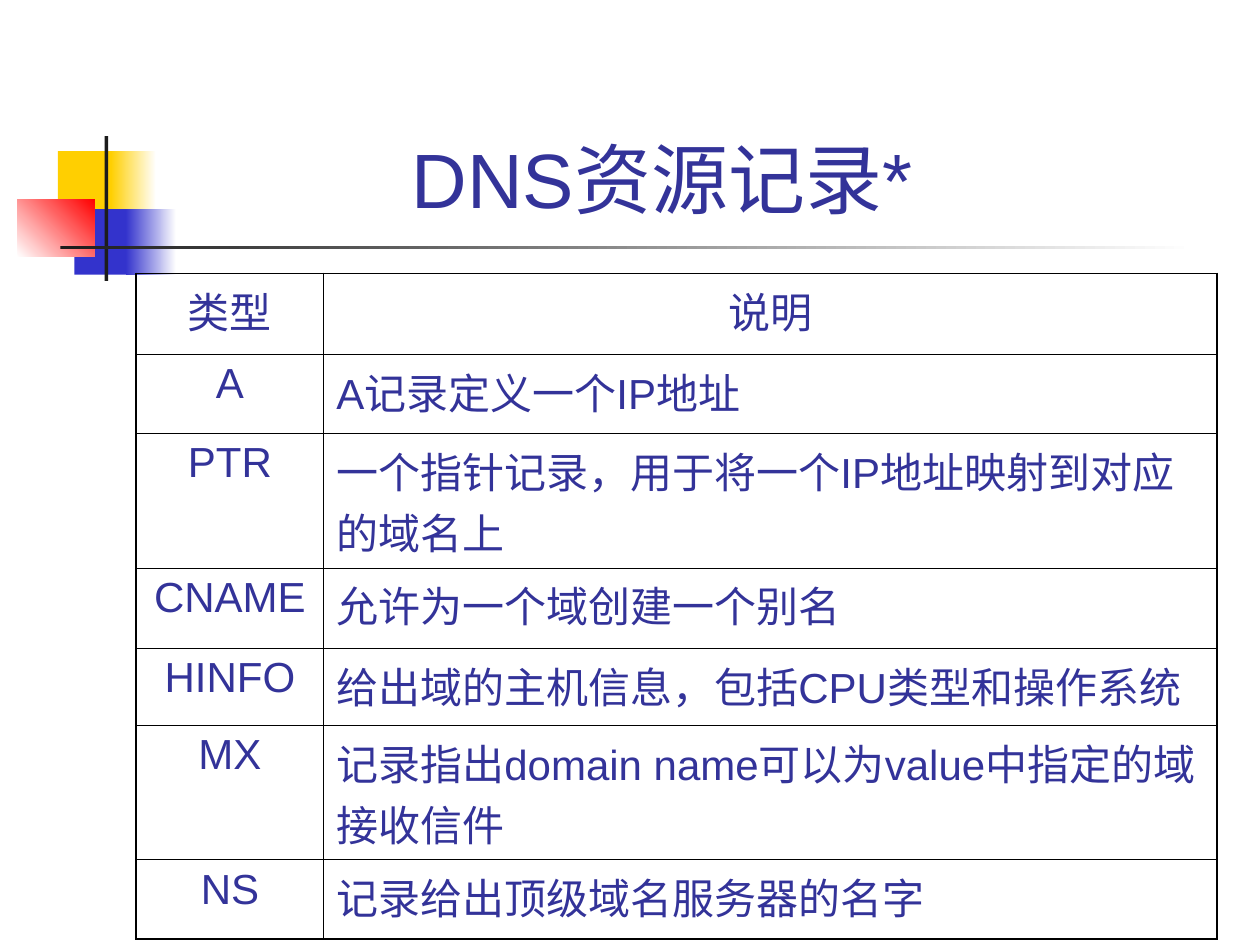
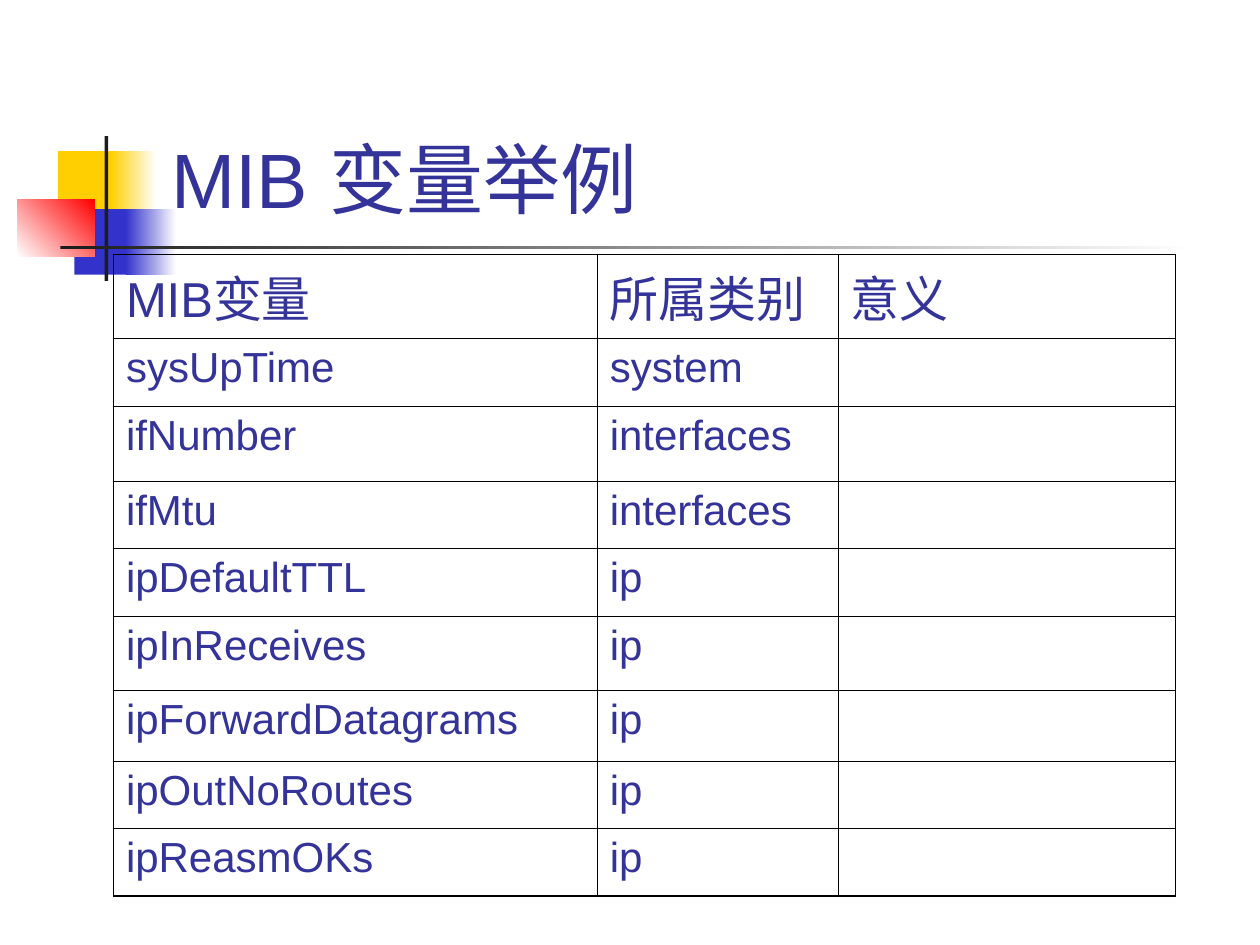
"""Builds two table slides, DNS resource records and MIB variables, over one shared band."""
from dataclasses import dataclass

from lxml import etree
from pptx import Presentation
from pptx import util as u
from pptx.dml.color import RGBColor
from pptx.enum import shapes, text
from pptx.oxml import ns

SLIDES = [
    dict(
        title="DNS资源记录*", title_at=(1.38, 0.83, 7.75, 1), title_align="c",
        at=(1.08, 2.17), cols=(1.49, 7.09),
        heights=(0.64, 0.63, 0.9, 0.64, 0.61, 0.9, 0.63),
        head_size=24, head_gap=6, head_align="cc", body_align="cl",
        rows=[
            ("类型", "说明"),
            ("A", "A记录定义一个IP地址"),
            ("PTR", "一个指针记录，用于将一个IP地址映射到对应的域名上"),
            ("CNAME", "允许为一个域创建一个别名"),
            ("HINFO", "给出域的主机信息，包括CPU类型和操作系统"),
            ("MX", "记录指出domain name可以为value中指定的域接收信件"),
            ("NS", "记录给出顶级域名服务器的名字"),
        ],
    ),
    dict(
        title="MIB 变量举例", title_at=(1.26, 0.23, 8.52, 1.6), title_align="l",
        at=(0.9, 2.02), cols=(3.84, 1.91, 2.68),
        heights=(0.66, 0.54, 0.6, 0.53, 0.54, 0.59, 0.56, 0.53, 0.54),
        head_size=28, head_gap=7, head_align="lll", body_align="lll",
        rows=[
            ("MIB变量", "所属类别", "意义"),
            ("sysUpTime", "system", ""),
            ("ifNumber", "interfaces", ""),
            ("ifMtu", "interfaces", ""),
            ("ipDefaultTTL", "ip", ""),
            ("ipInReceives", "ip", ""),
            ("ipForwardDatagrams", "ip", ""),
            ("ipOutNoRoutes", "ip", ""),
            ("ipReasmOKs", "ip", ""),
        ],
    ),
]


@dataclass(frozen=True)
class Theme:
    font: str = "Arial"
    ink: str = "333399"
    yellow: str = "FFCF01"
    blue: str = "3333CC"
    red: str = "FF0000"
    dark: str = "1C1C1C"
    white: str = "FFFFFF"
    border: str = "000000"
    title_size: int = 44
    body_size: int = 24
    body_gap: int = 6
    outer_line: float = 1.08
    inner_line: float = 0.45


T = Theme()
ALIGN = {"l": text.PP_ALIGN.LEFT, "c": text.PP_ALIGN.CENTER}

BAND = [
    ((0.46, 1.2, 0.48, 0.52), (T.yellow,), 0),
    ((0.88, 1.2, 0.36, 0.52), (T.yellow, T.white), 0),
    ((0.59, 1.66, 0.46, 0.52), (T.blue,), 0),
    ((1, 1.66, 0.4, 0.52), (T.blue, T.white), 0),
    ((0.14, 1.58, 0.61, 0.46), (T.white, T.red), 45),
    ((0.83, 1.08, 0.03, 1.15), (T.dark,), 0),
    ((0.48, 1.95, 9, 0.03), (T.dark, T.white), 0),
]


def put_text(tf, words, size=T.body_size, align="l", gap=0):
    p = tf.paragraphs[0]
    p.alignment = ALIGN[align]
    p.space_before = u.Pt(gap)
    if words:
        r = p.add_run()
        r.text = words
        r.font.name = T.font
        r.font.size = u.Pt(size)
        r.font.color.rgb = RGBColor.from_string(T.ink)


def add_band(s, layout):
    """Draw the band and move it to the layout, behind its placeholders."""
    for i, (at, colors, angle) in enumerate(BAND):
        sp = s.shapes.add_shape(shapes.MSO_SHAPE.RECTANGLE, *map(u.Inches, at))
        sp.name = f"Band {i + 1}"
        sp.shadow.inherit = False
        sp.line.fill.background()
        if len(colors) == 1:
            sp.fill.solid()
            sp.fill.fore_color.rgb = RGBColor.from_string(colors[0])
        else:
            sp.fill.gradient()
            sp.fill.gradient_angle = angle
            for stop, color in zip(sp.fill.gradient_stops, colors):
                stop.color.rgb = RGBColor.from_string(color)
        sp.element.nvSpPr.cNvPr.set("id", str(100 + i))
        layout.shapes.element.insert(2 + i, sp.element)


def set_borders(cell, outer):
    tc_pr = cell._tc.get_or_add_tcPr()
    for side in "LRTB":
        width = T.outer_line if side in outer else T.inner_line
        ln = etree.SubElement(tc_pr, ns.qn(f"a:ln{side}"), w=str(u.Pt(width)))
        fill = etree.SubElement(ln, ns.qn("a:solidFill"))
        etree.SubElement(fill, ns.qn("a:srgbClr"), val=T.border)


def add_grid(s, d):
    rows, cols, heights = d["rows"], d["cols"], d["heights"]
    box = (*d["at"], sum(cols), sum(heights))
    table = s.shapes.add_table(len(rows), len(cols), *map(u.Inches, box)).table
    table.first_row = table.horz_banding = False
    for col, width in zip(table.columns, cols):
        col.width = u.Inches(width)
    for row, height in zip(table.rows, heights):
        row.height = u.Inches(height)
    for i, words in enumerate(rows):
        head = i == 0
        size, gap = (d["head_size"], d["head_gap"]) if head else (T.body_size, T.body_gap)
        aligns = d["head_align"] if head else d["body_align"]
        for j, word in enumerate(words):
            cell = table.cell(i, j)
            edges = {"L": j == 0, "R": j == len(cols) - 1, "T": head, "B": i == len(rows) - 1}
            set_borders(cell, [side for side, on in edges.items() if on])
            cell.fill.background()
            put_text(cell.text_frame, word, size=size, align=aligns[j], gap=gap)


def add_title(s, d):
    sp = s.shapes.title
    sp.left, sp.top, sp.width, sp.height = map(u.Inches, d["title_at"])
    tf = sp.text_frame
    tf.word_wrap = True
    tf.auto_size = text.MSO_AUTO_SIZE.NONE
    tf.vertical_anchor = text.MSO_ANCHOR.BOTTOM
    put_text(tf, d["title"], size=T.title_size, align=d["title_align"])


def main():
    prs = Presentation()
    prs.slide_width, prs.slide_height = u.Inches(10), u.Inches(7.5)
    layout = prs.slide_layouts[5]
    for i, d in enumerate(SLIDES):
        s = prs.slides.add_slide(layout)
        if i == 0:
            add_band(s, layout)
        add_title(s, d)
        add_grid(s, d)
    prs.save("out.pptx")


if __name__ == "__main__":
    main()
